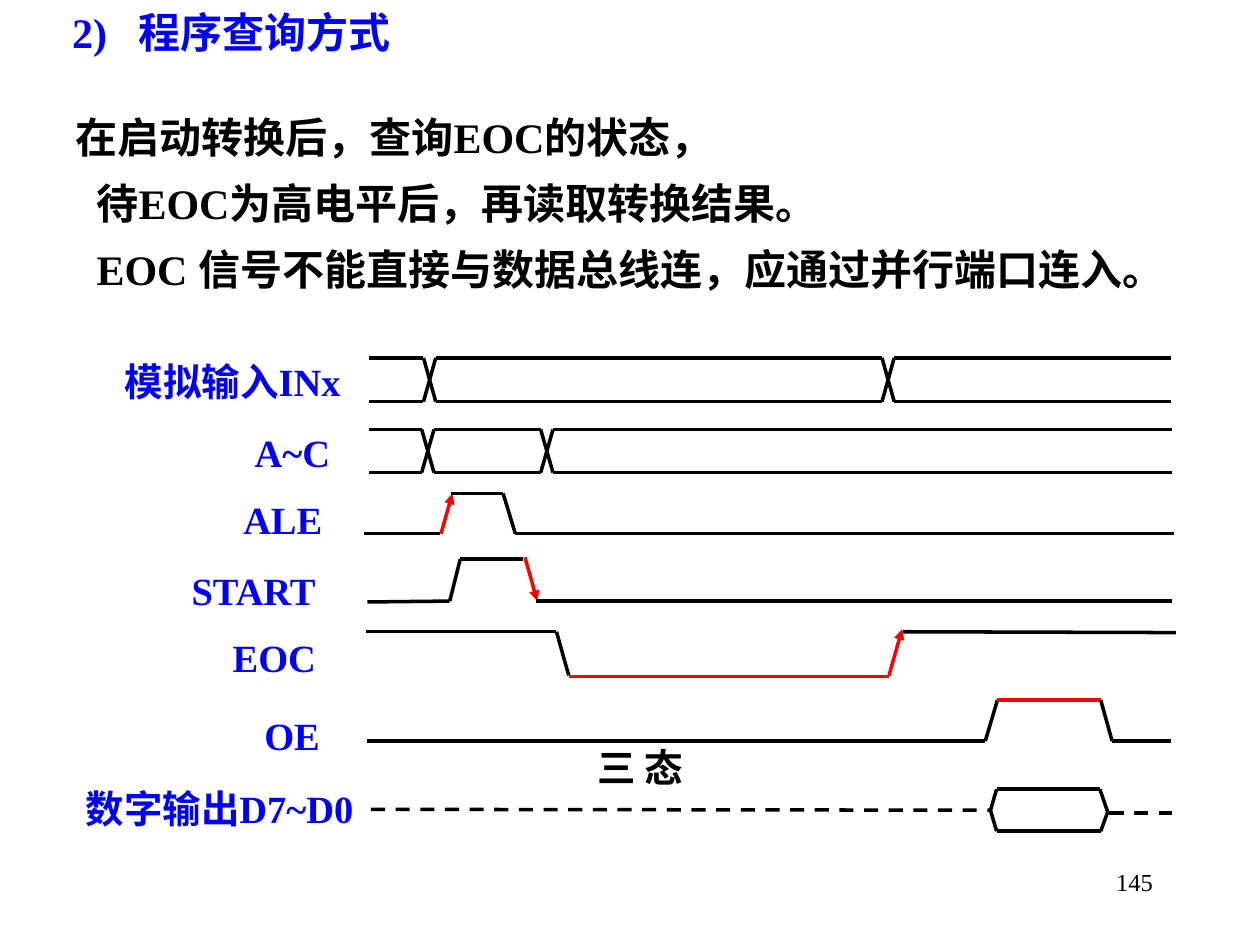
from itertools import pairwise

from lxml.etree import SubElement as sub_element
from pptx import Presentation
from pptx.dml.color import RGBColor
from pptx.enum.dml import MSO_LINE_DASH_STYLE as Dash
from pptx.enum.shapes import MSO_CONNECTOR as Connector
from pptx.enum.text import MSO_ANCHOR as Anchor, MSO_AUTO_SIZE as AutoSize, PP_ALIGN as Align
from pptx.oxml.ns import qn
from pptx.util import Pt

BLACK = RGBColor(0, 0, 0)
BLUE = RGBColor(0, 0, 255)
RED = RGBColor(255, 0, 0)
LATIN = "Times New Roman"
CJK = "Noto Sans CJK SC"

FLUSH = dict.fromkeys(("margin_left", "margin_top", "margin_right", "margin_bottom"), 0)
FRAME = {"word_wrap": True, "auto_size": AutoSize.NONE, "vertical_anchor": Anchor.TOP}

LABELS = [
    ("模拟输入INx", 43, 204.5, 180, Align.CENTER, BLUE),
    ("A~C", 145.5, 245, 54, Align.JUSTIFY, BLUE),
    ("ALE", 139, 283.5, 46, Align.JUSTIFY, BLUE),
    ("START", 109.5, 324, 76, Align.JUSTIFY, BLUE),
    ("EOC", 133, 362, 50, Align.JUSTIFY, BLUE),
    ("OE", 151, 407, 37, Align.JUSTIFY, BLUE),
    ("数字输出D7~D0", 49, 448.5, 168, Align.JUSTIFY, BLUE),
    ("三 态", 341.5, 425, 80, Align.JUSTIFY, BLACK),
]

BUSES = [
    (204.5, 229.5, 211, 669, [(242, 249), (504, 511)]),
    (245.5, 270, 211, 670, [(241, 248), (309, 316)]),
]

WAVES = [
    ([(208, 305), (251.5, 305)], {}),
    ([(252, 305), (258.5, 282)], {"color": RED, "arrow": True}),
    ([(258, 282), (287.5, 282), (294.5, 305), (671, 305)], {}),
    ([(210, 344), (257, 343.5), (263, 319.5), (299, 319.5)], {}),
    ([(300, 318.5), (307, 343.5)], {"color": RED, "arrow": True}),
    ([(306, 343.5), (670, 343.5)], {}),
    ([(209, 361), (318, 361), (325, 386)], {}),
    ([(325, 386.5), (508, 386.5)], {"color": RED}),
    ([(508, 386), (515.5, 359.5)], {"color": RED, "arrow": True}),
    ([(516, 361), (672, 361.5)], {}),
    ([(210, 423.5), (563, 423.5), (570, 400)], {}),
    ([(570, 400), (629, 400)], {"color": RED}),
    ([(629, 400), (635.5, 423.5), (669, 423.5)], {}),
    ([(212, 462.5), (566, 463)], {"dashed": True}),
    ([(566, 463), (569.5, 451), (628.5, 451), (633, 464),
      (629, 475), (569.5, 475), (566, 463)], {}),
    ([(634, 464.5), (670, 464.5)], {"dashed": True}),
]


def apply_format(target, **values):
    for attribute, value in values.items():
        setattr(target, attribute, value)


def write_run(paragraph, wording, size, color, bold=True, latin=LATIN):
    run = paragraph.add_run()
    run.text = wording
    apply_format(run.font, name=latin, size=Pt(size), bold=bold)
    run.font.color.rgb = color
    sub_element(run.font._element, qn("a:ea"), typeface=CJK)


def set_indent(paragraph, left, first=0):
    properties = paragraph._p.get_or_add_pPr()
    properties.set("marL", str(Pt(left)))
    properties.set("indent", str(Pt(first)))
    sub_element(properties, qn("a:buNone"))


def place(shape, left, top, width, height):
    apply_format(shape, left=Pt(left), top=Pt(top), width=Pt(width), height=Pt(height))
    apply_format(shape.text_frame, **FRAME)


def add_heading(slide):
    heading = slide.shapes.title
    place(heading, -2, 0, 300, 36)
    paragraph = heading.text_frame.paragraphs[0]
    set_indent(paragraph, 74, -38)
    apply_format(paragraph, alignment=Align.LEFT)
    write_run(paragraph, "2)\t程序查询方式", 24, BLUE)


def add_explanation(slide):
    explanation = slide.placeholders[1]
    place(explanation, 36, 60, 654, 112)
    sentences = [
        ("在启动转换后，查询EOC的状态，", 0),
        ("待EOC为高电平后，再读取转换结果。", 12),
        ("EOC 信号不能直接与数据总线连，应通过并行端口连入。", 12),
    ]
    frame = explanation.text_frame
    for position, (sentence, indent) in enumerate(sentences):
        paragraph = frame.add_paragraph() if position else frame.paragraphs[0]
        set_indent(paragraph, indent)
        apply_format(paragraph, alignment=Align.JUSTIFY, space_before=Pt(0), space_after=Pt(9))
        write_run(paragraph, sentence, 24, BLACK)


def add_label(slide, wording, left, top, width, alignment, color):
    label = slide.shapes.add_textbox(0, 0, 0, 0)
    place(label, left, top, width, 27)
    apply_format(label.text_frame, **FLUSH)
    paragraph = label.text_frame.paragraphs[0]
    apply_format(paragraph, alignment=alignment)
    write_run(paragraph, wording, 22, color)


def add_page_number(slide):
    page_number = slide.shapes.add_textbox(0, 0, 0, 0)
    place(page_number, 516, 492, 150, 36)
    paragraph = page_number.text_frame.paragraphs[0]
    apply_format(paragraph, alignment=Align.RIGHT)
    write_run(paragraph, "145", 14, BLACK, bold=False)


def add_wave(slide, points, color=BLACK, dashed=False, arrow=False):
    for start, end in pairwise(points):
        edge = slide.shapes.add_connector(Connector.STRAIGHT, *map(Pt, start + end))
        edge.line.color.rgb = color
        apply_format(edge.line, width=Pt(2), dash_style=Dash.DASH if dashed else Dash.SOLID)
        if arrow:
            sub_element(edge.line._get_or_add_ln(), qn("a:tailEnd"), type="triangle")
        sub_element(edge._element.spPr, qn("a:effectLst"))


def add_bus(slide, top, bottom, left, right, crossings):
    starts = [left] + [after for _, after in crossings]
    ends = [before for before, _ in crossings] + [right]
    for start, end in zip(starts, ends):
        for level in (top, bottom):
            add_wave(slide, [(start, level), (end, level)])
    for before, after in crossings:
        add_wave(slide, [(before, top), (after, bottom)])
        add_wave(slide, [(before, bottom), (after, top)])


def main():
    deck = Presentation()
    apply_format(deck, slide_width=Pt(720), slide_height=Pt(540))
    slide = deck.slides.add_slide(deck.slide_layouts[1])
    add_heading(slide)
    add_explanation(slide)
    for label in LABELS:
        add_label(slide, *label)
    for bus in BUSES:
        add_bus(slide, *bus)
    for points, style in WAVES:
        add_wave(slide, points, **style)
    add_page_number(slide)
    deck.save("out.pptx")


if __name__ == "__main__":
    main()
